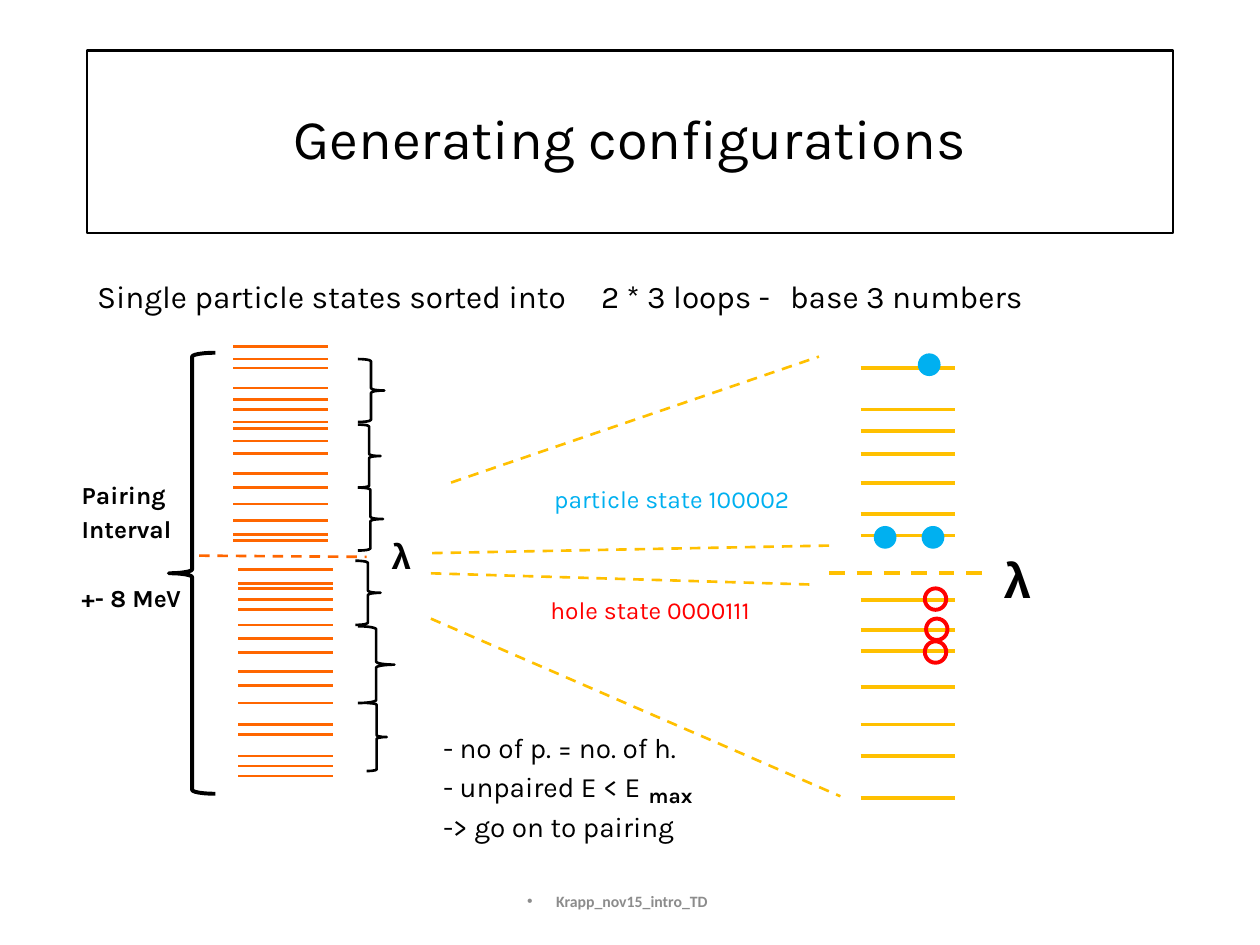
from collections import namedtuple

from lxml import etree
from pptx import Presentation
from pptx.dml.color import RGBColor
from pptx.enum.dml import MSO_LINE
from pptx.enum.shapes import MSO_CONNECTOR, MSO_SHAPE
from pptx.enum.text import MSO_ANCHOR, MSO_AUTO_SIZE, PP_ALIGN
from pptx.oxml.ns import qn
from pptx.util import Inches, Pt

STRAIGHT, DASH = MSO_CONNECTOR.STRAIGHT, MSO_LINE.DASH
CIRCLE = MSO_SHAPE.FLOWCHART_CONNECTOR
LEFT_BRACE, RIGHT_BRACE = MSO_SHAPE.LEFT_BRACE, MSO_SHAPE.RIGHT_BRACE
TOP, MIDDLE = MSO_ANCHOR.TOP, MSO_ANCHOR.MIDDLE
LEFT, CENTER = PP_ALIGN.LEFT, PP_ALIGN.CENTER
FIXED = MSO_AUTO_SIZE.NONE

COLUMNS, ROWS = 1000, 750
CELL = Inches(10) // COLUMNS
LEVEL_WIDTH, DOT = 75, 17
BLACK, GREY, ORANGE, GOLD = "000000", "8C8C8C", "FF6600", "FFC000"
BLUE, RED = "00B0F0", "FF0000"

Box = namedtuple("Box", "left top width height")


def color(value):
    """Turn a hex string into a colour."""
    return RGBColor.from_string(value)


def inside(box, left, top, width, height):
    """Return a box placed relative to the corner of another box."""
    return Box(box.left + left, box.top + top, width, height)


def lengths(box):
    """Convert a box in grid cells to slide lengths."""
    return [cells * CELL for cells in box]


def write(frame, text, size=14, font="Karla", fill=BLACK, bold=False, align=LEFT,
          anchor=TOP, line_spacing=None, before=None, gaps=()):
    """Fill a text frame, one paragraph a line, and return its paragraphs."""
    frame.word_wrap, frame.auto_size, frame.vertical_anchor = True, FIXED, anchor
    frame.text = text
    for index, para in enumerate(frame.paragraphs):
        para.alignment = align
        if line_spacing:
            para.line_spacing = line_spacing
        space = size * 0.2 if before is None else before
        para.space_before = Pt(dict(gaps).get(index, space))
        for span in para.runs:
            span.font.name, span.font.size, span.font.bold = font, Pt(size), bold
            span.font.color.rgb = color(fill)
    return frame.paragraphs


def add_label(page, box, text, **style):
    """Add a text box and return its paragraphs."""
    return write(page.shapes.add_textbox(*lengths(box)).text_frame, text, **style)


def add_line(page, start, end, stroke, weight, dash=None):
    """Draw a straight line between two grid points."""
    line = page.shapes.add_connector(STRAIGHT, *lengths(start + end))
    line.line.color.rgb, line.line.width = color(stroke), Pt(weight)
    if dash:
        line.line.dash_style = dash
    etree.SubElement(line._element.spPr, qn("a:effectLst"))


def add_outline(page, kind, box, stroke, weight, fill=None):
    """Draw a preset shape, hollow unless a fill is given."""
    shape = page.shapes.add_shape(kind, *lengths(box))
    shape.shadow.inherit = False
    shape.line.color.rgb, shape.line.width = color(stroke), Pt(weight)
    if fill:
        shape.fill.solid()
        shape.fill.fore_color.rgb = color(fill)
    else:
        shape.fill.background()


def add_levels(page, box, rows, stroke, weight):
    """Draw one horizontal energy level at each row of the box."""
    for row in rows:
        height = box.top + row
        add_line(page, (box.left, height), (box.left + box.width, height), stroke, weight)


def fill_heading(page, title_box, body_box):
    """Place the framed title and the tabbed statement under it."""
    title, body = page.placeholders
    for holder, box in ((title, title_box), (body, body_box)):
        holder.left, holder.top, holder.width, holder.height = lengths(box)
    title.line.color.rgb, title.line.width = color(BLACK), Pt(1.5)
    write(title.text_frame, "Generating configurations", size=32, align=CENTER,
          anchor=MIDDLE, line_spacing=0.9, before=0)
    para, = write(body.text_frame,
                  "Single particle states sorted into\t2 * 3 loops -\tbase 3 numbers",
                  size=18, line_spacing=0.9, before=7.5)
    layout = para._p.get_or_add_pPr()
    layout.set("marL", "0")
    layout.set("indent", "0")
    etree.SubElement(layout, qn("a:buNone"))
    stops = etree.SubElement(layout, qn("a:tabLst"))
    for column in (396, 542):
        etree.SubElement(stops, qn("a:tab"), pos=str(column * CELL), algn="l")


def draw_pairing_interval(page, box):
    """Draw the sorted states, their six loops and the pairing interval."""
    upper = (0, 10, 17, 33, 42, 50, 60, 65, 75, 85, 101, 112, 125, 138, 149, 154)
    lower = (0, 11, 15, 24, 32, 44, 55, 66, 81, 92, 106, 123, 131, 148, 156, 164)
    add_levels(page, inside(box, 130, 0, LEVEL_WIDTH, 154), upper, ORANGE, 1.5)
    add_levels(page, inside(box, 134, 177, LEVEL_WIDTH, 164), lower, ORANGE, 1.5)
    loops = ((229, 10, 21, 50), (229, 62, 18, 50), (229, 112, 20, 50),
             (227, 170, 20, 51), (229, 222, 29, 61), (236, 283, 16, 54))
    for loop in loops:
        add_outline(page, RIGHT_BRACE, inside(box, *loop), BLACK, 1.5)
    add_outline(page, LEFT_BRACE, inside(box, 79, 5, 37, 350), BLACK, 2.25)
    add_line(page, (box.left + 103, box.top + 166), (box.left + 236, box.top + 167),
             ORANGE, 1.5, DASH)
    add_label(page, inside(box, 246, 144, 33, 44), "λ", size=20, font="Arial", bold=True)
    add_label(page, inside(box, 0, 101, 102, 142), "Pairing\nInterval\n+- 8 MeV",
              bold=True, gaps={2: 22.2}.items())


def draw_zoom(page, box):
    """Draw the dashed zoom lines with the state names and the rules."""
    rays = ((1, 156, 316, 150), (16, 100, 308, 0),
            (0, 172, 304, 181), (0, 208, 325, 349))
    for x1, y1, x2, y2 in rays:
        add_line(page, (box.left + x1, box.top + y1), (box.left + x2, box.top + y2),
                 GOLD, 1.5, DASH)
    add_label(page, inside(box, 88, 96, 208, 34), "particle state 100002", fill=BLUE)
    add_label(page, inside(box, 85, 184, 208, 34), "hole state 0000111", fill=RED)
    add_label(page, inside(box, 0, 292, 231, 102),
              "- no of p. = no. of h.\n- unpaired E < E\n-> go on to pairing", size=16)
    add_label(page, inside(box, 163, 333, 58, 30), "max", size=12, bold=True)


def draw_configuration(page, box):
    """Draw the enlarged levels with their particles and holes."""
    rows = (0, 33, 50, 68, 91, 116, 133, 184, 208, 225, 253, 283, 308, 341)
    add_levels(page, inside(box, 25, 11, LEVEL_WIDTH, 341), rows, GOLD, 2.25)
    add_line(page, (box.left, box.top + 174), (box.left + 125, box.top + 174),
             GOLD, 2.25, DASH)
    add_label(page, inside(box, 129, 150, 33, 57), "λ", size=28, font="Arial", bold=True)
    for left, top in ((71, 0), (36, 137), (74, 137)):
        add_outline(page, CIRCLE, inside(box, left, top, DOT, DOT), BLUE, 0.75, BLUE)
    for left, top in ((76, 186), (77, 210), (76, 228)):
        add_outline(page, CIRCLE, inside(box, left, top, DOT, DOT), RED, 2.25)


def add_footer(page, box):
    """Place the bulleted footer line."""
    para, = add_label(page, box, "Krapp_nov15_intro_TD", size=9, font="Calibri",
                      fill=GREY, bold=True, align=CENTER, anchor=MIDDLE, before=0)
    layout = para._p.get_or_add_pPr()
    for side, columns in (("marL", 23), ("marR", 20), ("indent", -23)):
        layout.set(side, str(columns * CELL))
    etree.SubElement(layout, qn("a:buFont"), typeface="Arial")
    etree.SubElement(layout, qn("a:buChar"), char="•")


def main():
    """Build and save the slide."""
    deck = Presentation()
    deck.slide_width, deck.slide_height = COLUMNS * CELL, ROWS * CELL
    page = deck.slides.add_slide(deck.slide_layouts[1])
    fill_heading(page, Box(69, 40, 862, 145), Box(67, 219, 850, 8))
    add_footer(page, Box(331, 695, 338, 40))
    draw_pairing_interval(page, Box(55, 275, 279, 355))
    draw_zoom(page, Box(342, 283, 325, 394))
    draw_configuration(page, Box(658, 281, 162, 352))
    deck.save("out.pptx")


if __name__ == "__main__":
    main()
